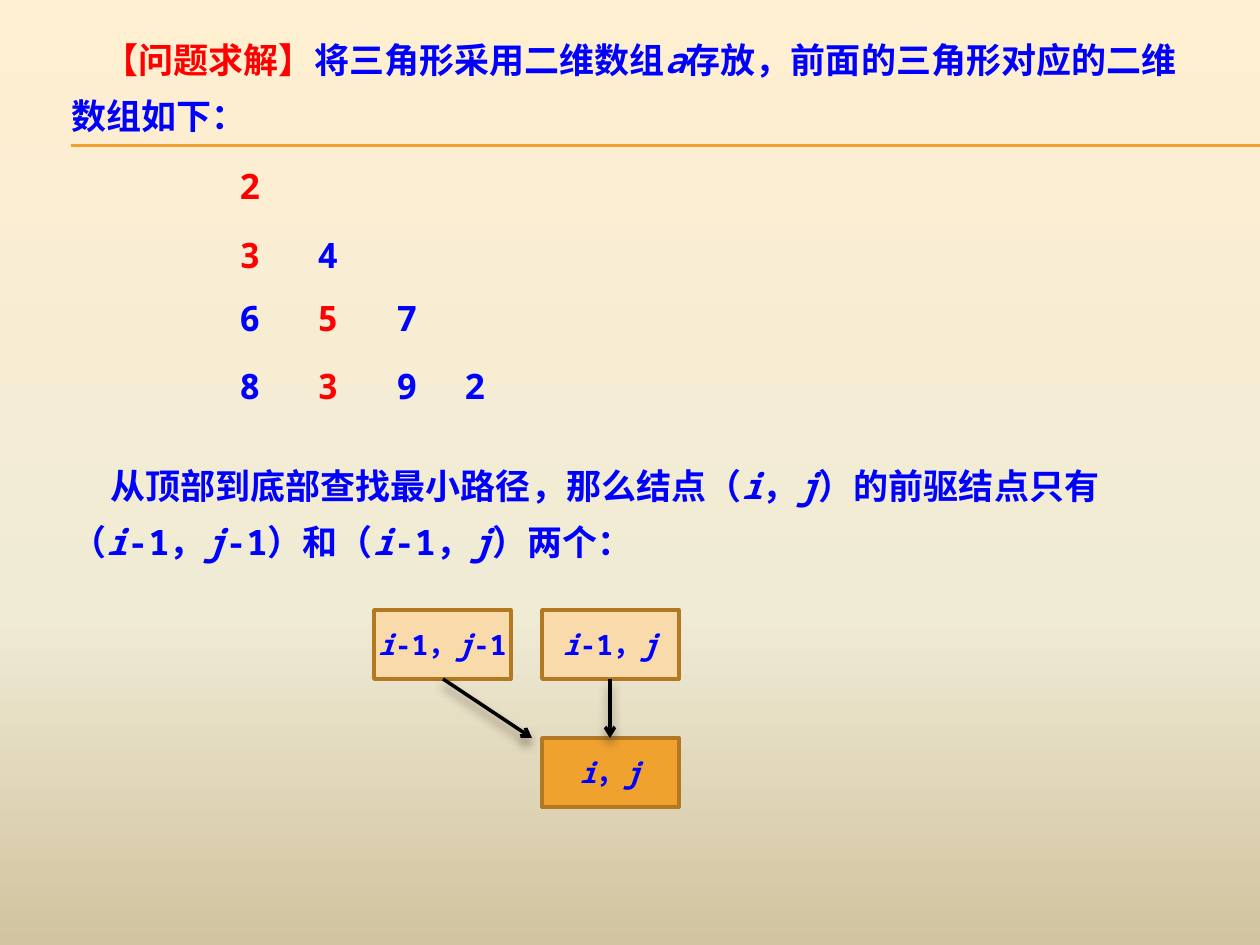
from copy import deepcopy

from lxml import etree
from pptx import Presentation
from pptx.dml.color import RGBColor
from pptx.enum.shapes import MSO_CONNECTOR, MSO_SHAPE
from pptx.enum.text import MSO_ANCHOR, MSO_AUTO_SIZE, PP_ALIGN
from pptx.oxml import parse_xml
from pptx.oxml.ns import nsdecls, qn
from pptx.util import Pt

PX = 914400 / 126
STRAIGHT = MSO_CONNECTOR.STRAIGHT
RECTANGLE = MSO_SHAPE.RECTANGLE
LEFT, CENTER = PP_ALIGN.LEFT, PP_ALIGN.CENTER
TOP, MIDDLE = MSO_ANCHOR.TOP, MSO_ANCHOR.MIDDLE
NO_AUTOFIT = MSO_AUTO_SIZE.NONE
BLUE, RED = "0000FF", "FF0000"
rgb = RGBColor.from_string


def px(*lengths):
    return [round(length * PX) for length in lengths]


def write(paragraph, text, color=BLUE, size=20):
    for index, piece in enumerate(text.split("*")):
        if piece:
            run = paragraph.add_run()
            run.text = piece
            run.font.size = Pt(size)
            run.font.bold = True
            run.font.italic = index % 2 == 1
            run.font.name = "Noto Sans Mono"
            run.font.color.rgb = rgb(color)
            east_asian = etree.SubElement(run.font._element, qn("a:ea"))
            east_asian.set("typeface", "Noto Sans CJK SC")


prs = Presentation()
prs.slide_width, prs.slide_height = px(1260, 945)
slide = prs.slides.add_slide(prs.slide_layouts[5])
shapes = slide.shapes

backdrop = slide.background.fill
backdrop.gradient()
backdrop.gradient_angle = 270
stop_list = next(slide.element.iter(qn("a:gsLst")))
stop_list.append(deepcopy(stop_list[0]))
backdrop_stops = [(0, "FFEFD1"), (0.65, "F0EBD5"), (1, "D1C39F")]
for stop, (position, color) in zip(backdrop.gradient_stops, backdrop_stops):
    stop.position = position
    stop.color.rgb = rgb(color)

for y in (145, 146):
    rule = shapes.add_connector(STRAIGHT, *px(71, y, 1260, y))
    rule.line.color.rgb = rgb("F0A22E")
    rule.line.width = Pt(0.75)
    etree.SubElement(rule._element.spPr, qn("a:effectLst"))

problem = shapes.title
problem.left, problem.top, problem.width, problem.height = px(59, 18, 1152, 126)
predecessors = shapes.add_textbox(*px(59, 444, 1142, 126))
for passage, indent in ((problem, 32), (predecessors, 39)):
    frame = passage.text_frame
    frame.word_wrap = True
    frame.auto_size = NO_AUTOFIT
    frame.vertical_anchor = TOP
    paragraph = frame.paragraphs[0]
    paragraph.alignment = LEFT
    paragraph.line_spacing = Pt(32)
    paragraph._p.get_or_add_pPr().set("indent", str(px(indent)[0]))

statement = problem.text_frame.paragraphs[0]
write(statement, "【问题求解】", RED)
write(statement, "将三角形采用二维数组*a*存放，前面的三角形对应的二维数组如下：")
write(predecessors.text_frame.paragraphs[0],
      "从顶部到底部查找最小路径，那么结点（*i*，*j*）的前驱结点只有"
      "（*i*-1，*j*-1）和（*i*-1，*j*）两个：")

triangle = ["2", "34", "657", "8392"]
path_columns = [0, 0, 1, 1]
column_lefts = [227, 305, 384, 452]
row_tops = [158, 227, 290, 358]
for values, top, path_column in zip(triangle, row_tops, path_columns):
    for column, value in enumerate(values):
        number = shapes.add_textbox(*px(column_lefts[column], top, 39, 55))
        number.text_frame.word_wrap = True
        write(number.text_frame.paragraphs[0], value,
              RED if column == path_column else BLUE)

nodes = [
    (542, 738, "F0A22E", "*i*，*j*"),
    (542, 610, "F9DAAB", "*i*-1，*j*"),
    (374, 610, "F9DAAB", "*i*-1，*j*-1"),
]
for left, top, fill, label in nodes:
    node = shapes.add_shape(RECTANGLE, *px(left, top, 137, 69))
    node.shadow.inherit = False
    node.fill.solid()
    node.fill.fore_color.rgb = rgb(fill)
    node.line.color.rgb = rgb("B27822")
    node.line.width = Pt(2)
    frame = node.text_frame
    frame.word_wrap = True
    frame.margin_left = frame.margin_right = 0
    frame.vertical_anchor = MIDDLE
    frame.paragraphs[0].alignment = CENTER
    write(frame.paragraphs[0], label, size=16)

for start_x, end_x in ((610, 610), (443, 532)):
    arrow = shapes.add_connector(STRAIGHT, *px(start_x, 679, end_x, 738))
    arrow.line.color.rgb = rgb("000000")
    arrow.line.width = Pt(2)
    etree.SubElement(arrow.line._get_or_add_ln(), qn("a:tailEnd")).set("type", "arrow")
    arrow._element.spPr.append(parse_xml(
        f'<a:effectLst {nsdecls("a")}>'
        f'<a:outerShdw blurRad="{Pt(6)}" dist="{Pt(4)}" dir="5400000" rotWithShape="0">'
        '<a:srgbClr val="4E3B30"><a:alpha val="60000"/></a:srgbClr>'
        '</a:outerShdw></a:effectLst>'))

prs.save("out.pptx")
